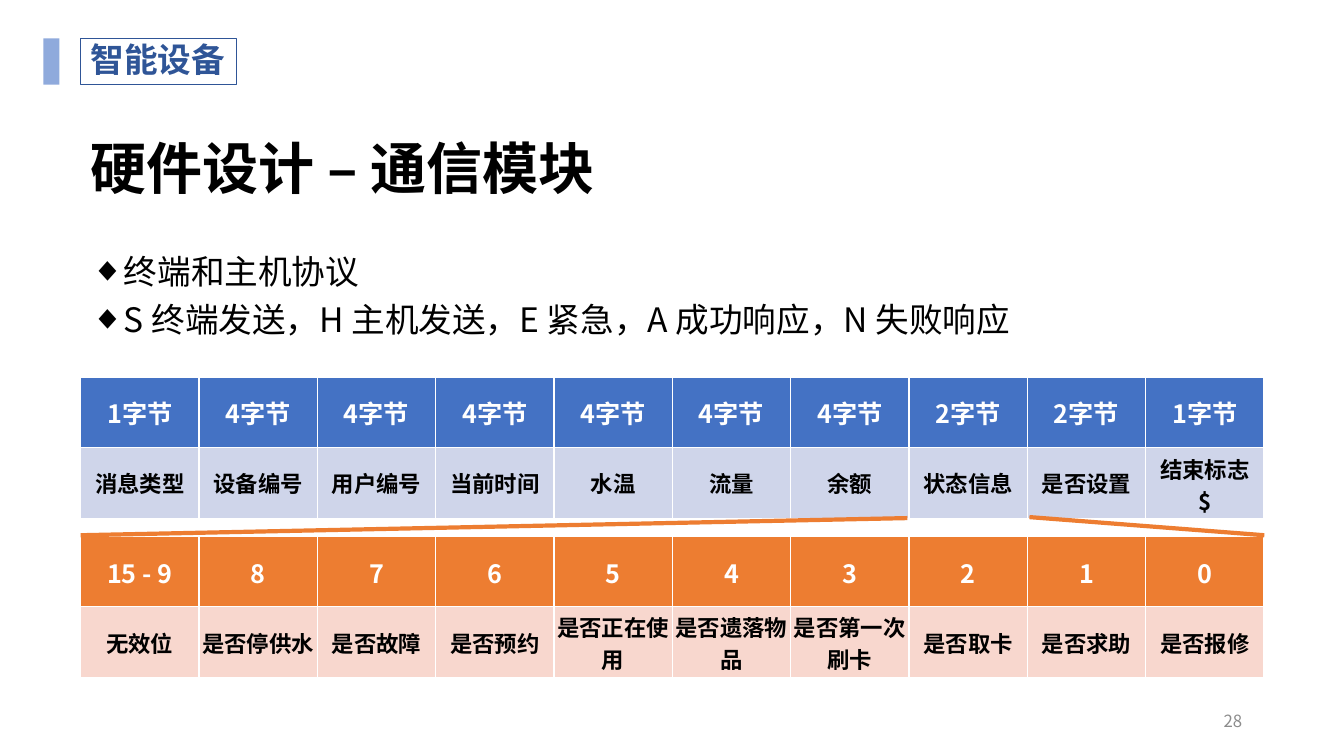
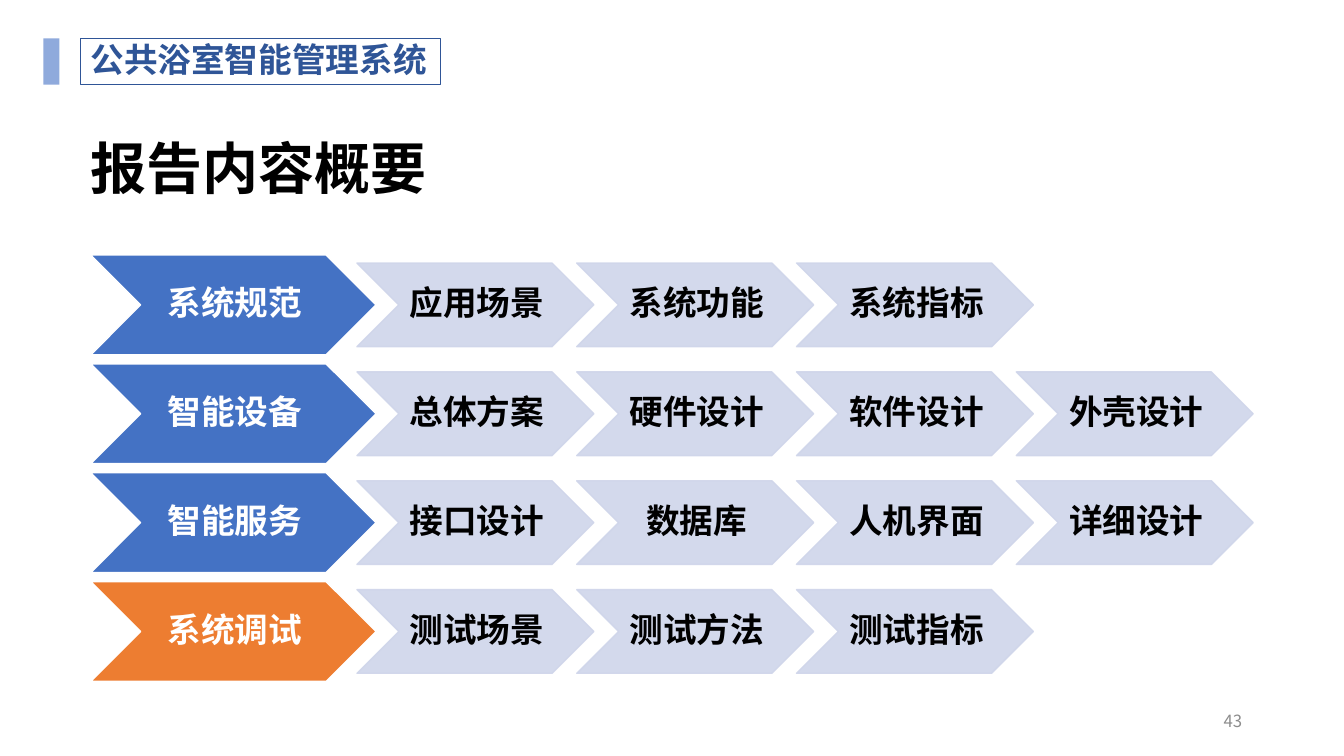
import pptx
import pptx.util
import pptx.dml.color
import pptx.enum.shapes
import pptx.enum.text
import pptx.oxml
import pptx.oxml.ns
from pptx.util import Inches

RGBColor = pptx.dml.color.RGBColor
Shape = pptx.enum.shapes.MSO_SHAPE
Align = pptx.enum.text.PP_ALIGN
Anchor = pptx.enum.text.MSO_ANCHOR
qn = pptx.oxml.ns.qn

WHITE = RGBColor(0xFF, 0xFF, 0xFF)
BLACK = RGBColor(0, 0, 0)
GRAY = RGBColor(0x8C, 0x8C, 0x8C)
NAVY = RGBColor(0x2F, 0x55, 0x97)
BAR_BLUE = RGBColor(0x8F, 0xAA, 0xDC)
BLUE = RGBColor(0x44, 0x72, 0xC4)
PALE_BLUE = RGBColor(0xCF, 0xD5, 0xEA)
ORANGE = RGBColor(0xED, 0x7D, 0x31)
PALE_ORANGE = RGBColor(0xF8, 0xD7, 0xCE)

BODY_FONT = "Noto Sans CJK SC"
TITLE_FONT = "Arial"
LEFT, WIDTH = 0.8, 11.74

BYTE_FIELDS = [
    ["1字节", "4字节", "4字节", "4字节", "4字节", "4字节", "4字节", "2字节", "2字节", "1字节"],
    ["消息类型", "设备编号", "用户编号", "当前时间", "水温", "流量", "余额", "状态信息", "是否设置", "结束标志$"],
]
STATUS_BITS = [
    ["15 - 9", "8", "7", "6", "5", "4", "3", "2", "1", "0"],
    ["无效位", "是否停供水", "是否故障", "是否预约", "是否正在使用", "是否遗落物品",
     "是否第一次刷卡", "是否取卡", "是否求助", "是否报修"],
]
OUTLINE = [
    (BLUE, "系统规范", ["应用场景", "系统功能", "系统指标"]),
    (BLUE, "智能设备", ["总体方案", "硬件设计", "软件设计", "外壳设计"]),
    (BLUE, "智能服务", ["接口设计", "数据库", "人机界面", "详细设计"]),
    (ORANGE, "系统调试", ["测试场景", "测试方法", "测试指标"]),
]


def add_xml(parent, tag, **attributes):
    child = parent.makeelement(qn(tag), attributes)
    parent.append(child)
    return child


def style(paragraph, size, color, bold=False, align=Align.LEFT, name=BODY_FONT):
    paragraph.alignment = align
    font = paragraph.font
    font.size = pptx.util.Pt(size)
    font.bold = bold
    font.color.rgb = color
    font.name = name
    defaults = paragraph._p.pPr.find(qn("a:defRPr"))
    add_xml(defaults, "a:ea", typeface=BODY_FONT)


def set_margins(target, left, top, right, bottom):
    target.margin_left, target.margin_top = Inches(left), Inches(top)
    target.margin_right, target.margin_bottom = Inches(right), Inches(bottom)


def add_shape(page, kind, left, top, width, height, fill=None, line=None, weight=1):
    shape = page.shapes.add_shape(kind, Inches(left), Inches(top), Inches(width), Inches(height))
    shape.shadow.inherit = False
    if fill is None:
        shape.fill.background()
    else:
        shape.fill.solid()
        shape.fill.fore_color.rgb = fill
    if line is None:
        shape.line.fill.background()
    else:
        shape.line.color.rgb = line
        shape.line.width = pptx.util.Pt(weight)
    return shape


def add_page(deck, section, section_width, title, number):
    page = deck.slides.add_slide(deck.slide_layouts[5])
    heading = page.shapes.title
    heading.left, heading.top = Inches(LEFT), Inches(1.35)
    heading.width, heading.height = Inches(WIDTH), Inches(0.61)
    frame = heading.text_frame
    frame.text = title
    frame.auto_size = pptx.enum.text.MSO_AUTO_SIZE.NONE
    frame.vertical_anchor = Anchor.MIDDLE
    style(frame.paragraphs[0], 40, BLACK, True, name=TITLE_FONT)

    add_shape(page, Shape.RECTANGLE, 0.43, 0.38, 0.16, 0.46, BAR_BLUE)
    label = add_shape(page, Shape.RECTANGLE, LEFT, 0.38, section_width, 0.46, None, NAVY, 0.75)
    frame = label.text_frame
    frame.text = section
    frame.word_wrap = False
    frame.vertical_anchor = Anchor.TOP
    frame.paragraphs[0].line_spacing = 0.9
    style(frame.paragraphs[0], 24, NAVY, True)

    footer = page.shapes.add_textbox(Inches(9.42), Inches(6.95), Inches(3), Inches(0.4))
    frame = footer.text_frame
    frame.text = number
    frame.word_wrap = True
    frame.vertical_anchor = Anchor.MIDDLE
    style(frame.paragraphs[0], 12, GRAY, align=Align.RIGHT)
    return page


def add_bullets(page, lines):
    box = page.shapes.add_textbox(Inches(LEFT), Inches(2.36), Inches(WIDTH), Inches(1.3))
    frame = box.text_frame
    frame.word_wrap = True
    frame.text = "\n".join(lines)
    for paragraph in frame.paragraphs:
        paragraph.line_spacing = 1.2
        properties = paragraph._p.get_or_add_pPr()
        properties.set("marL", str(Inches(0.33)))
        properties.set("indent", str(Inches(-0.33)))
        add_xml(properties, "a:buFont", typeface=TITLE_FONT)
        add_xml(properties, "a:buChar", char="◆")
        style(paragraph, 24, BLACK, align=Align.JUSTIFY)


def add_field_table(page, top, rows, header_fill, body_fill, margins):
    columns = len(rows[0])
    table = page.shapes.add_table(len(rows), columns, Inches(LEFT), Inches(top),
                                  Inches(WIDTH), Inches(1.4)).table
    table.horz_banding = False
    for column in table.columns:
        column.width = Inches(WIDTH / columns)
    looks = [(header_fill, 18, WHITE), (body_fill, 16, BLACK)]
    for r, (texts, (fill, size, color)) in enumerate(zip(rows, looks)):
        for c, text in enumerate(texts):
            cell = table.cell(r, c)
            cell.text = text
            cell.vertical_anchor = Anchor.MIDDLE
            cell.fill.solid()
            cell.fill.fore_color.rgb = fill
            set_margins(cell, *margins)
            style(cell.text_frame.paragraphs[0], size, color, True, Align.CENTER)


def add_line(page, start, end):
    line = page.shapes.add_connector(pptx.enum.shapes.MSO_CONNECTOR.STRAIGHT,
                                     *map(Inches, start + end))
    line.line.color.rgb = ORANGE
    line.line.width = pptx.util.Pt(3)
    add_xml(line._element.spPr, "a:effectLst")


def add_chevron(page, left, top, width, height, text, fill, line, color, opacity=100):
    chevron = add_shape(page, Shape.CHEVRON, left, top, width, height, fill, line)
    if opacity < 100:
        for node in chevron._element.spPr.iter(qn("a:srgbClr")):
            add_xml(node, "a:alpha", val=str(opacity * 1000))
    frame = chevron.text_frame
    frame.text = text
    frame.vertical_anchor = Anchor.MIDDLE
    set_margins(frame, 0.03, 0.02, 0, 0.02)
    frame.paragraphs[0].line_spacing = 0.9
    style(frame.paragraphs[0], 24, color, True, Align.CENTER)


def build_protocol_page(deck):
    page = add_page(deck, "智能设备", 1.55, "硬件设计 – 通信模块", "28")
    add_bullets(page, ["终端和主机协议", "S 终端发送，H 主机发送，E 紧急，A 成功响应，N 失败响应"])
    add_field_table(page, 3.74, BYTE_FIELDS, BLUE, PALE_BLUE, (0.1, 0.05, 0.1, 0.05))
    add_field_table(page, 5.32, STATUS_BITS, ORANGE, PALE_ORANGE, (0.01, 0.01, 0.01, 0))
    add_line(page, (LEFT, 5.31), (9, 5.14))
    add_line(page, (LEFT + WIDTH, 5.31), (10.21, 5.13))


def build_outline_page(deck):
    page = add_page(deck, "公共浴室智能管理系统", 3.57, "报告内容概要", "43")
    for row, (fill, chapter, topics) in enumerate(OUTLINE):
        top = 2.53 + row * 1.08
        add_chevron(page, 0.9, top, 2.83, 0.99, chapter, fill, WHITE, WHITE)
        for column, topic in enumerate(topics):
            add_chevron(page, 3.54 + column * 2.18, top + 0.08, 2.35, 0.83, topic,
                        PALE_BLUE, PALE_BLUE, BLACK, 90)


def main():
    deck = pptx.Presentation()
    deck.slide_width, deck.slide_height = Inches(13.33), Inches(7.5)
    build_protocol_page(deck)
    build_outline_page(deck)
    deck.save("out.pptx")


if __name__ == "__main__":
    main()
